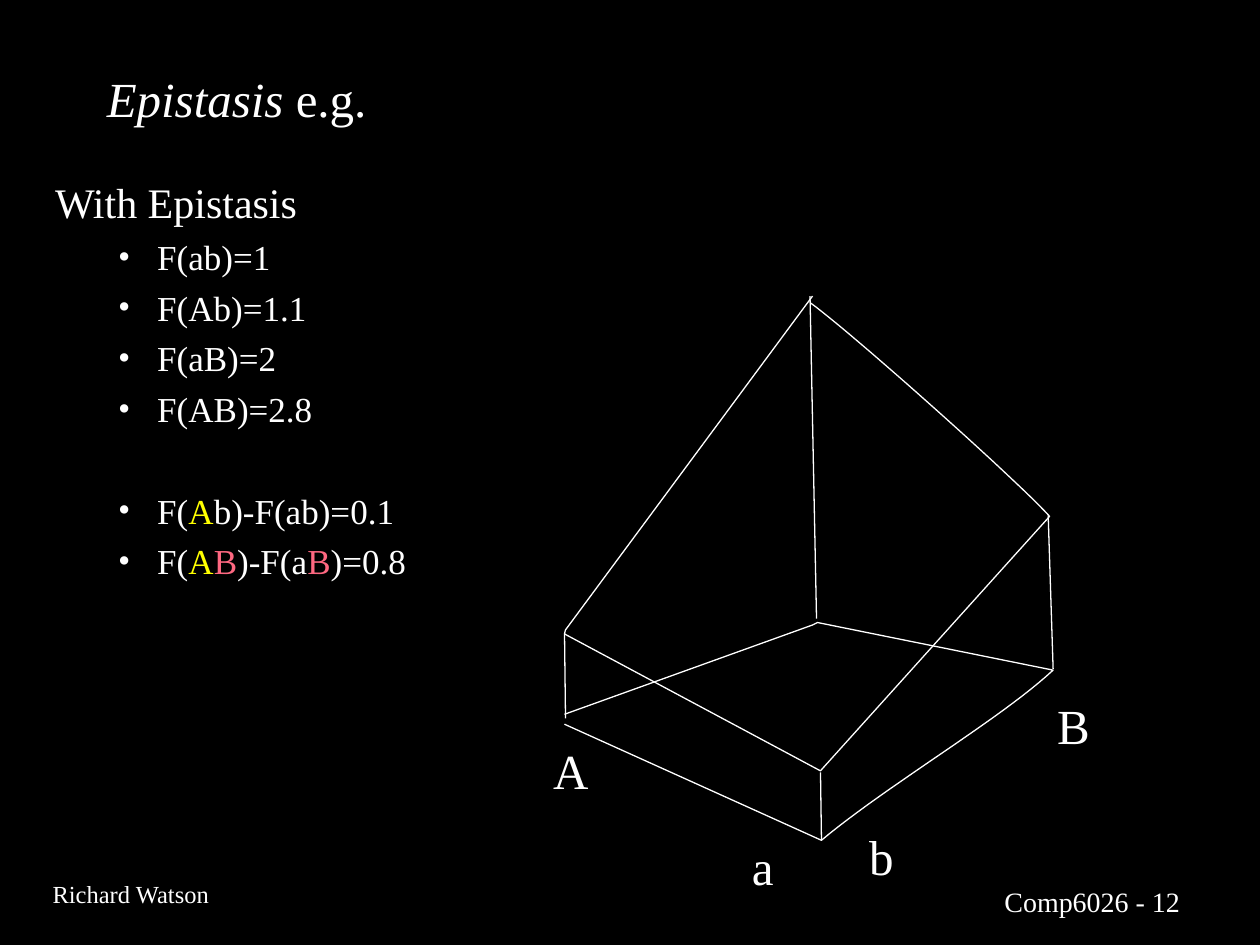
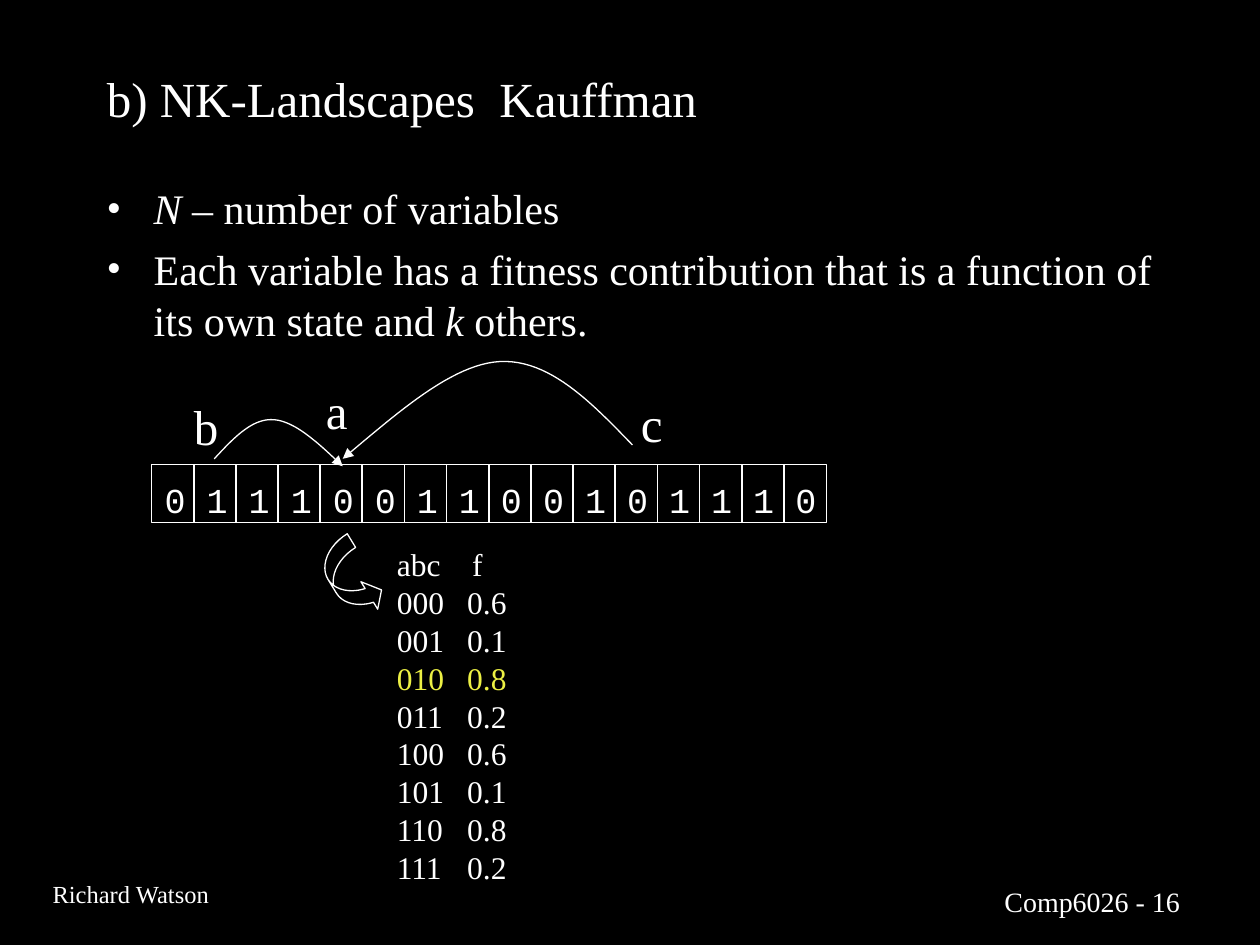
from pptx import Presentation
from pptx.util import Cm, Pt
from pptx.dml.color import RGBColor
from pptx.enum.shapes import MSO_CONNECTOR, MSO_SHAPE
from pptx.enum.text import MSO_ANCHOR, MSO_AUTO_SIZE, PP_ALIGN
from pptx.oxml.ns import qn
from lxml.etree import SubElement

COLORS = {"bg": "000000", "fg": "FFFFFF", "yellow": "FFFF00", "pink": "FE6881", "row": "ECF044"}
SERIF = "Times New Roman"
THIN = Pt(0.75)


def write(shape, paras, size, wrap=True, font=SERIF):
    tf = shape.text_frame
    tf.word_wrap = wrap
    tf.auto_size = MSO_AUTO_SIZE.NONE
    for i, (fmt, runs) in enumerate(paras):
        p = tf.paragraphs[0] if i == 0 else tf.add_paragraph()
        p.alignment = PP_ALIGN.LEFT
        p.space_before = Pt(fmt.get("before", 0))
        pPr = p._p.get_or_add_pPr()
        if "indent" in fmt:
            left, hang = fmt["indent"]
            pPr.set("marL", str(Cm(left)))
            pPr.set("indent", str(-Cm(hang)))
            SubElement(pPr, qn("a:buFont")).set("typeface", SERIF)
            SubElement(pPr, qn("a:buChar")).set("char", "•")
        if "tab" in fmt:
            tabs = SubElement(pPr, qn("a:tabLst"))
            SubElement(tabs, qn("a:tab"), pos=str(Cm(fmt["tab"])), algn="l")
        for text, look in runs:
            r = p.add_run()
            r.text = text
            look = {"name": font, "size": Pt(fmt.get("size", size)), **look}
            r.font.color.rgb = RGBColor.from_string(COLORS[look.pop("color", "fg")])
            for key, value in look.items():
                setattr(r.font, key, value)


def draw(s, start, steps, arrow=False):
    points = [start]
    for step in steps:
        if len(step) == 2:
            points.append(step)
            continue
        a, (b, c, d) = points[-1], step
        for k in range(1, 25):
            t = k / 24
            u = 1 - t
            points.append(tuple(u**3 * a[n] + 3 * u * u * t * b[n] + 3 * u * t * t * c[n] + t**3 * d[n]
                                for n in (0, 1)))
    fb = s.shapes.build_freeform(Cm(points[0][0]), Cm(points[0][1]))
    fb.add_line_segments([(Cm(x), Cm(y)) for x, y in points[1:]], close=False)
    sp = fb.convert_to_shape()
    sp.shadow.inherit = False
    sp.fill.background()
    sp.line.color.rgb = RGBColor.from_string(COLORS["fg"])
    sp.line.width = THIN
    if arrow:
        SubElement(sp.line._get_or_add_ln(), qn("a:tailEnd")).set("type", "triangle")


prs = Presentation()
prs.slide_width, prs.slide_height = Cm(25.4), Cm(19.05)
fill = prs.slide_master.background.fill
fill.solid()
fill.fore_color.rgb = RGBColor.from_string(COLORS["bg"])

titles = [
    (12, [("Epistasis ", {"italic": True}), ("e.g.", {})]),
    (16, [("b) NK-Landscapes  Kauffman", {})]),
]
for number, runs in titles:
    s = prs.slides.add_slide(prs.slide_layouts[5])
    title = s.shapes.title
    title.left, title.top, title.width, title.height = Cm(1.9), Cm(1.04), Cm(21.6), Cm(1.85)
    title.text_frame.vertical_anchor = MSO_ANCHOR.MIDDLE
    write(title, [({}, runs)], 28)
    tb = s.shapes.add_textbox(Cm(20), Cm(17.7), Cm(5.2), Cm(0.92))
    write(tb, [({}, [(f"Comp6026 - {number}", {})])], 16)
    tb = s.shapes.add_textbox(Cm(0.81), Cm(17.6), Cm(3.7), Cm(0.86))
    write(tb, [({}, [("Richard Watson", {})])], 14, wrap=False)

epistasis, landscape = prs.slides

yellow, pink = {"color": "yellow"}, {"color": "pink"}
item = {"indent": (2.06, 0.79), "before": 5, "size": 20}
paras = [({}, [("With Epistasis", {})])]
paras += [(item, [(text, {})]) for text in ("F(ab)=1", "F(Ab)=1.1", "F(aB)=2", "F(AB)=2.8")]
paras += [
    ({**item, "before": 34}, [("F(", {}), ("A", yellow), ("b)-F(ab)=0.1", {})]),
    (item, [("F(", {}), ("A", yellow), ("B", pink), (")-F(a", {}), ("B", pink), (")=0.8", {})]),
]
tb = epistasis.shapes.add_textbox(Cm(0.86), Cm(3.43), Cm(8.08), Cm(13.3))
write(tb, paras, 24)

draw(epistasis, (11.38, 14.6), [
    (16.56, 16.94), ((17.93, 15.8), (20.17, 14.5), (21.23, 13.51)),
    (16.48, 12.55), (16.38, 12.6), (11.38, 14.4)])
draw(epistasis, (16.33, 6.1), [
    ((17.17, 6.71), (20.45, 9.63), (21.16, 10.41)),
    (16.54, 15.54), (11.38, 12.78), (11.4, 12.7), (16.38, 5.97)])
edges = [
    (16.56, 16.94, 16.54, 15.57), (21.23, 13.49, 21.13, 10.39),
    (16.46, 12.47, 16.33, 5.97), (11.4, 14.48, 11.38, 12.78),
]
for edge in edges:
    cx = epistasis.shapes.add_connector(MSO_CONNECTOR.STRAIGHT, *map(Cm, edge))
    cx.line.color.rgb = RGBColor.from_string(COLORS["fg"])
    cx.line.width = THIN
    SubElement(cx._element.spPr, qn("a:effectLst"))

labels = [
    (epistasis, "A", 10.9, 14.81), (epistasis, "a", 14.91, 16.74),
    (epistasis, "b", 17.27, 16.54), (epistasis, "B", 21.06, 13.89),
    (landscape, "b", 3.66, 7.87), (landscape, "c", 12.67, 7.8), (landscape, "a", 6.32, 7.54),
]
for s, text, x, y in labels:
    tb = s.shapes.add_textbox(Cm(x), Cm(y), Cm(1.1), Cm(1.45))
    write(tb, [({}, [(text, {})])], 28, wrap=False)

italic = {"italic": True}
bullet = {"indent": (0.95, 0.95)}
tb = landscape.shapes.add_textbox(Cm(1.9), Cm(3.56), Cm(21.6), Cm(4.24))
write(tb, [
    (bullet, [("N", italic), (" – number of variables", {})]),
    ({**bullet, "before": 6}, [
        ("Each variable has a fitness contribution that is a function of its own state and ", {}),
        ("k", italic), (" others.", {})]),
], 24)

genome = "0111001100101110"
outlines = [landscape.shapes.add_shape(MSO_SHAPE.RECTANGLE, Cm(3.05 + 0.85 * i), Cm(9.37), Cm(0.86), Cm(1.17))
            for i in range(len(genome))]
arrow = landscape.shapes.add_shape(MSO_SHAPE.CURVED_RIGHT_ARROW, Cm(6.68), Cm(10.85), Cm(0.81), Cm(1.65))
arrow.rotation = 328.6
for i, value in enumerate((0.4, 0.8, 0.33)):
    arrow.adjustments[i] = value
for sp in outlines + [arrow]:
    sp.shadow.inherit = False
    sp.fill.background()
    sp.line.color.rgb = RGBColor.from_string(COLORS["fg"])
    sp.line.width = THIN
tb = landscape.shapes.add_textbox(Cm(3.07), Cm(9.53), Cm(13.67), Cm(1.12))
write(tb, [({}, [(" ".join(genome), {})])], 20, wrap=False, font="Courier New")

draw(landscape, (4.32, 9.25), [
    ((4.7, 8.84), (5.08, 8.43), (5.51, 8.46)), ((5.94, 8.48), (6.43, 8.94), (6.91, 9.4))], arrow=True)
draw(landscape, (12.75, 8.97), [
    ((11.91, 8.1), (11.07, 7.24), (10.08, 7.29)), ((9.12, 7.34), (8.03, 8.31), (6.91, 9.25))], arrow=True)

fitness = ["0.6", "0.1", "0.8", "0.2"] * 2
rows = [({"tab": 1.52}, [("abc\tf", {})])]
for i, f in enumerate(fitness):
    rows.append(({"tab": 1.42}, [(f"{i:03b}\t{f}", {"color": "row" if i == 2 else "fg"})]))
tb = landscape.shapes.add_textbox(Cm(7.75), Cm(10.87), Cm(2.92), Cm(7.11))
write(tb, rows, 18)

prs.save("out.pptx")
